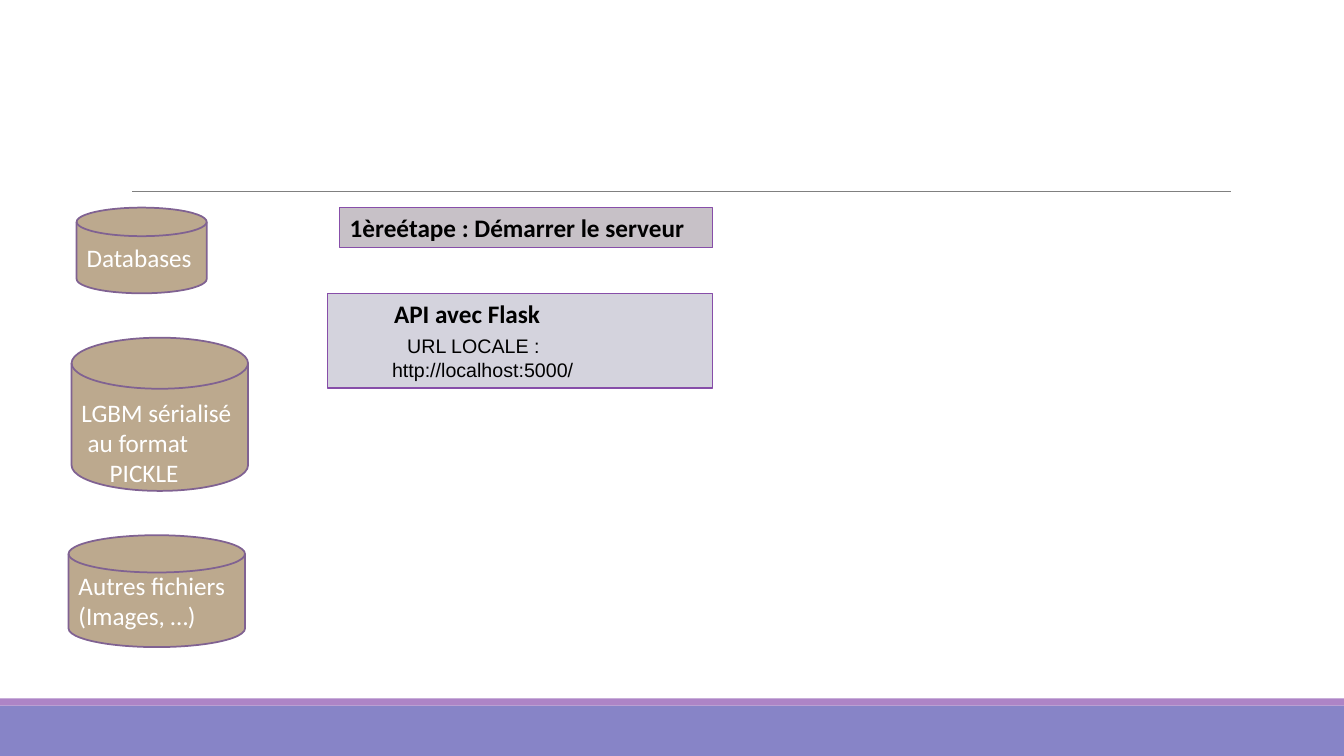
"""Build the slide that shows data stores beside the Flask server steps."""
from dataclasses import dataclass

import pptx
import pptx.dml.color
import pptx.enum.shapes
import pptx.enum.text
import pptx.oxml.ns
import pptx.shapes.autoshape
import pptx.slide
import pptx.util
from lxml import etree

Inches = pptx.util.Inches
RGBColor = pptx.dml.color.RGBColor
Kind = pptx.enum.shapes.MSO_SHAPE
Anchor = pptx.enum.text.MSO_ANCHOR
Fit = pptx.enum.text.MSO_AUTO_SIZE

WHITE = RGBColor(0xFF, 0xFF, 0xFF)
BLACK = RGBColor(0x00, 0x00, 0x00)
GREY = RGBColor(0x80, 0x80, 0x80)
BLUE = RGBColor(0x87, 0x84, 0xC7)
MAUVE = RGBColor(0xAD, 0x84, 0xC6)
TAN = RGBColor(0xBC, 0xA9, 0x8E)
PLUM = RGBColor(0x80, 0x62, 0x92)
PURPLE = RGBColor(0x87, 0x4E, 0xA9)
ROSE = RGBColor(0xC7, 0xC1, 0xC7)
PALE = RGBColor(0xD4, 0xD3, 0xDD)


@dataclass
class Line:
    text: str
    indent: float = 0
    font: str = "Calibri"
    size: int = 18
    bold: bool = False
    before: float = 0


@dataclass
class Box:
    left: float
    top: float
    width: float
    height: float
    fill: RGBColor
    lines: tuple[Line, ...] = ()
    inset: float = 0.05


BANDS = (
    Box(0, 7, 13.33, 0.5, BLUE),
    Box(0, 6.93, 13.33, 0.07, MAUVE),
)
DISKS = (
    Box(0.76, 2.06, 1.29, 0.85, TAN, (Line("Databases"),)),
    Box(0.71, 3.35, 1.75, 1.52, TAN, (
        Line("LGBM sérialisé"),
        Line("au format", 0.06),
        Line("PICKLE", 0.28),
    ), inset=0.35),
    Box(0.68, 5.31, 1.75, 1.11, TAN, (Line("Autres fichiers (Images, …)"),)),
)
STEPS = (
    Box(3.37, 2.06, 3.7, 0.4, ROSE, (
        Line("1èreétape : Démarrer le serveur", bold=True),
    )),
    Box(3.25, 2.91, 3.82, 0.94, PALE, (
        Line("API avec Flask", 0.56, bold=True),
        Line("URL LOCALE :", 0.69, "Arial", 14, before=3.6),
        Line("http://localhost:5000/", 0.54, "Arial", 14, before=0.8),
    )),
)


def draw_box(slide: pptx.slide.Slide, box: Box,
             kind: Kind = Kind.RECTANGLE) -> pptx.shapes.autoshape.Shape:
    """Draw a filled shape with no outline."""
    place = map(Inches, (box.left, box.top, box.width, box.height))
    shape = slide.shapes.add_shape(kind, *place)
    shape.shadow.inherit = False
    shape.fill.solid()
    shape.fill.fore_color.rgb = box.fill
    shape.line.fill.background()
    return shape


def edge(shape: pptx.shapes.autoshape.Shape, ink: RGBColor, width: float) -> None:
    """Give a shape its outline."""
    shape.line.color.rgb = ink
    shape.line.width = pptx.util.Pt(width)


def write(shape: pptx.shapes.autoshape.Shape, box: Box, ink: RGBColor,
          anchor: Anchor, fit: Fit) -> None:
    """Write the lines of a box into its shape."""
    frame = shape.text_frame
    frame.word_wrap = True
    frame.auto_size = fit
    frame.vertical_anchor = anchor
    frame.margin_top = Inches(box.inset)
    for rank, line in enumerate(box.lines):
        para = frame.add_paragraph() if rank else frame.paragraphs[0]
        para.alignment = pptx.enum.text.PP_ALIGN.LEFT
        if line.indent:
            para._p.get_or_add_pPr().set("marL", str(Inches(line.indent)))
        if line.before:
            para.space_before = pptx.util.Pt(line.before)
        run = para.add_run()
        run.text = line.text
        run.font.name = line.font
        run.font.size = pptx.util.Pt(line.size)
        run.font.bold = line.bold
        run.font.color.rgb = ink


def draw_rule(slide: pptx.slide.Slide) -> None:
    """Draw the thin rule below the title space."""
    rule = slide.shapes.add_connector(
        pptx.enum.shapes.MSO_CONNECTOR.STRAIGHT,
        Inches(1.31), Inches(1.9), Inches(12.21), Inches(1.9))
    rule.line.color.rgb = GREY
    rule.line.width = pptx.util.Pt(0.5)
    etree.SubElement(rule._element.spPr, pptx.oxml.ns.qn("a:effectLst"))


def main() -> None:
    """Build and save the deck."""
    deck = pptx.Presentation()
    deck.slide_width, deck.slide_height = Inches(13.33), Inches(7.5)
    slide = deck.slides.add_slide(deck.slide_layouts[6])
    for band in BANDS:
        draw_box(slide, band)
    draw_rule(slide)
    for disk in DISKS:
        shape = draw_box(slide, disk, Kind.FLOWCHART_MAGNETIC_DISK)
        edge(shape, PLUM, 1.25)
        write(shape, disk, WHITE, Anchor.MIDDLE, Fit.NONE)
    for step in STEPS:
        shape = draw_box(slide, step)
        edge(shape, PURPLE, 0.75)
        write(shape, step, BLACK, Anchor.TOP, Fit.SHAPE_TO_FIT_TEXT)
    deck.save("out.pptx")


if __name__ == "__main__":
    main()
